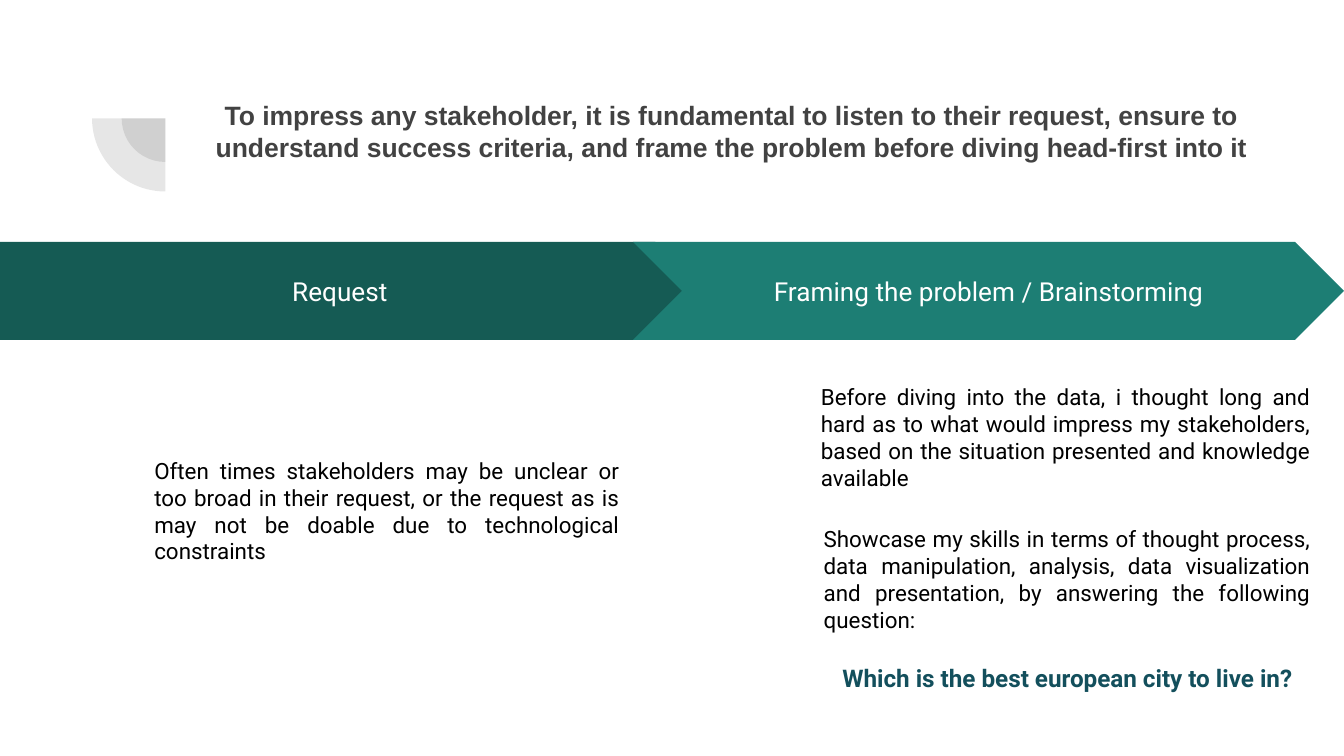
from dataclasses import dataclass

from lxml import etree
from pptx import Presentation
from pptx.dml.color import RGBColor
from pptx.enum.shapes import MSO_SHAPE
from pptx.enum.text import MSO_ANCHOR, PP_ALIGN
from pptx.oxml.ns import qn
from pptx.util import Inches, Pt

CENTER, JUSTIFY = PP_ALIGN.CENTER, PP_ALIGN.JUSTIFY
TOP, MIDDLE = MSO_ANCHOR.TOP, MSO_ANCHOR.MIDDLE
PIE, PENTAGON, CHEVRON = MSO_SHAPE.PIE, MSO_SHAPE.PENTAGON, MSO_SHAPE.CHEVRON


@dataclass(frozen=True)
class Theme:
    title_font: str = "Arial"
    body_font: str = "Roboto"
    grey: str = "424242"
    dark_teal: str = "155B54"
    teal: str = "1D7E74"
    question: str = "134F5C"
    white: str = "FFFFFF"
    black: str = "000000"
    title_size: float = 14.2
    step_size: float = 14
    question_size: float = 13
    body_size: float = 12
    gap: float = 16
    inset: float = 0.1
    ornament_opacity: int = 13


THEME = Theme()


@dataclass(frozen=True)
class Box:
    left: float
    top: float
    width: float
    height: float

    def lengths(self):
        return [Inches(v) for v in (self.left, self.top, self.width, self.height)]


@dataclass(frozen=True)
class Step:
    label: str
    kind: int
    color: str
    box: Box


@dataclass(frozen=True)
class Note:
    text: str
    box: Box
    space_after: float = THEME.gap


def write(frame, text: str, *, size: float, color: str, font: str = THEME.body_font,
          bold: bool = False, align=CENTER, anchor=TOP, before: float = 0,
          after: float = 0, append: bool = False) -> None:
    """Write one paragraph, either as the first or below the existing ones."""
    frame.word_wrap = True
    frame.vertical_anchor = anchor
    frame.margin_left = frame.margin_right = Inches(THEME.inset)
    frame.margin_top = frame.margin_bottom = Inches(THEME.inset)
    paragraph = frame.add_paragraph() if append else frame.paragraphs[0]
    paragraph.alignment = align
    paragraph.space_before, paragraph.space_after = Pt(before), Pt(after)
    run = paragraph.add_run()
    run.text = text
    run.font.name, run.font.size, run.font.bold = font, Pt(size), bold
    run.font.color.rgb = RGBColor.from_string(color)


def add_filled(slide, kind: int, box: Box, color: str):
    shape = slide.shapes.add_shape(kind, *box.lengths())
    shape.shadow.inherit = False
    shape.fill.solid()
    shape.fill.fore_color.rgb = RGBColor.from_string(color)
    shape.line.fill.background()
    return shape


def add_quarter(slide, diameter: float) -> None:
    """Draw a translucent quarter disc around the shared ornament centre."""
    center_x, center_y = 1.23, 0.88
    box = Box(center_x - diameter / 2, center_y - diameter / 2, diameter, diameter)
    quarter = add_filled(slide, PIE, box, THEME.grey)
    quarter.adjustments[0], quarter.adjustments[1] = 108, 162  # 180 to 270 degrees
    quarter.rotation = 270
    color = quarter.fill._xPr.find(qn("a:solidFill"))[0]
    etree.SubElement(color, qn("a:alpha"), val=str(THEME.ornament_opacity * 1000))


def add_step(slide, step: Step) -> None:
    arrow = add_filled(slide, step.kind, step.box, step.color)
    arrow.adjustments[0] = 0.5
    write(arrow.text_frame, step.label, size=THEME.step_size, color=THEME.white,
          anchor=MIDDLE)


def add_note(slide, note: Note):
    frame = slide.shapes.add_textbox(*note.box.lengths()).text_frame
    write(frame, note.text, size=THEME.body_size, color=THEME.black, align=JUSTIFY,
          after=note.space_after)
    return frame


REQUEST = Step("Request", PENTAGON, THEME.dark_teal, Box(0, 1.8, 5.24, 0.73))
REQUEST_NOTE = Note(
    "Often times stakeholders may be unclear or too broad in their request, or the "
    "request as is may not be doable due to technological constraints",
    Box(1.05, 3.3, 3.66, 0.93))
FRAMING = Step("Framing the problem / Brainstorming", CHEVRON, THEME.teal,
               Box(4.71, 1.8, 5.29, 0.73))
FRAMING_NOTE = Note(
    "Before diving into the data, i thought long and hard as to what would impress "
    "my stakeholders, based on the situation presented and knowledge available",
    Box(6.01, 2.75, 3.84, 0.99))
SHOWCASE = Note(
    "Showcase my skills in terms of thought process, data manipulation, analysis, data "
    "visualization and presentation, by answering the following question:",
    Box(6.03, 3.81, 3.82, 1.63), space_after=0)


def main() -> None:
    deck = Presentation()
    deck.slide_width = Inches(10)
    deck.slide_height = deck.slide_width * 9 // 16
    slide = deck.slides.add_slide(deck.slide_layouts[6])

    # Corner ornament
    for diameter in (0.65, 1.09):
        add_quarter(slide, diameter)

    # Title
    title = slide.shapes.add_textbox(*Box(1.23, 0.64, 8.42, 1.09).lengths())
    write(title.text_frame,
          "To impress any stakeholder, it is fundamental to listen to their request, "
          "ensure to understand success criteria, and frame the problem before diving "
          "head-first into it",
          size=THEME.title_size, color=THEME.grey, font=THEME.title_font, bold=True)

    # Process arrows with their explanations
    for step, note in ((REQUEST, REQUEST_NOTE), (FRAMING, FRAMING_NOTE)):
        add_step(slide, step)
        add_note(slide, note)

    # Closing question
    showcase = add_note(slide, SHOWCASE)
    write(showcase, "Which is the best european city to live in?",
          size=THEME.question_size, color=THEME.question, bold=True,
          before=THEME.gap, after=THEME.gap, append=True)

    deck.save("out.pptx")


if __name__ == "__main__":
    main()
